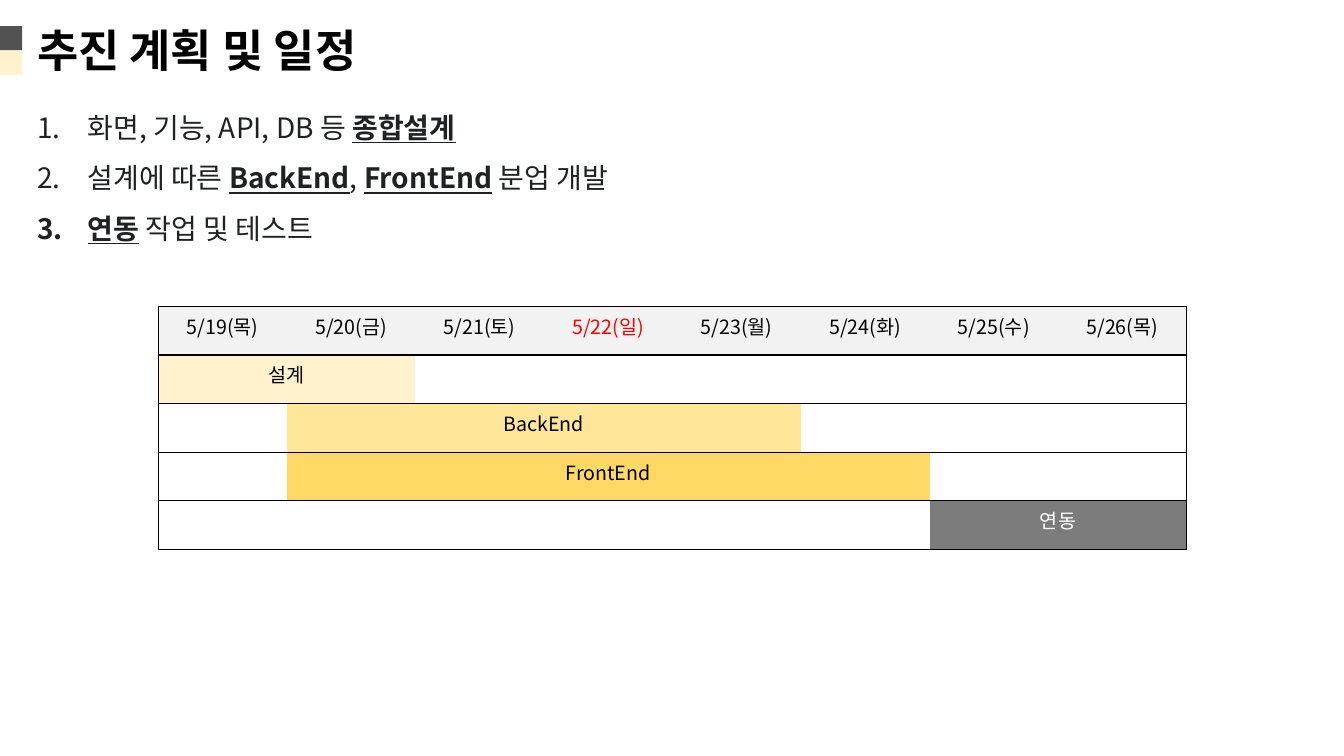
import pptx
import pptx.util
import pptx.dml.color
import pptx.enum.shapes
import pptx.enum.text
import pptx.oxml
import pptx.oxml.ns
from lxml import etree

Inches = pptx.util.Inches
Pt = pptx.util.Pt
qn = pptx.oxml.ns.qn
FONT = "Noto Sans CJK KR"
COLORS = {
    "black": "000000", "white": "FFFFFF", "red": "FF0000", "ink": "202122",
    "dark": "525252", "gray": "7C7C7C", "head": "F2F2F2",
    "cream": "FFF2CC", "sand": "FFE699", "gold": "FFD966",
}
DAYS = ["5/19(목)", "5/20(금)", "5/21(토)", "5/22(일)",
        "5/23(월)", "5/24(화)", "5/25(수)", "5/26(목)"]
TASKS = [
    ("설계", 0, 2, "cream", "black"),
    ("BackEnd", 1, 4, "sand", "black"),
    ("FrontEnd", 1, 5, "gold", "black"),
    ("연동", 6, 2, "gray", "white"),
]
STEPS = [
    [("화면, 기능, API, DB 등 ", False), ("종합설계", True)],
    [("설계에 따른 ", False), ("BackEnd", True), (", ", False),
     ("FrontEnd", True), (" 분업 개발", False)],
    [("연동", True), (" 작업 및 테스트", False)],
]


def color(name):
    return pptx.dml.color.RGBColor.from_string(COLORS[name])


def style(para, size, name, bold=None):
    font = para.font
    font.size, font.name, font.bold = Pt(size), FONT, bold
    font.color.rgb = color(name)
    base = para._p.pPr.find(qn("a:defRPr"))
    etree.SubElement(base, qn("a:ea")).set("typeface", FONT)


def add_text(slide, box):
    frame = slide.shapes.add_textbox(*map(Inches, box)).text_frame
    frame.word_wrap = True
    return frame


def add_title(slide, left, top, width, height):
    side = 0.24
    for row, name in enumerate(["dark", "cream"]):
        mark = slide.shapes.add_shape(
            pptx.enum.shapes.MSO_SHAPE.RECTANGLE, Inches(left),
            Inches(top + 0.08 + row * side), Inches(0.22), Inches(side))
        mark.shadow.inherit = False
        mark.fill.solid()
        mark.fill.fore_color.rgb = color(name)
        mark.line.fill.background()
    frame = add_text(slide, (left + 0.27, top, width - 0.27, height))
    para = frame.paragraphs[0]
    para.text = "추진 계획 및 일정"
    style(para, 32, "black", True)


def add_steps(slide, *box):
    frame = add_text(slide, box)
    for index, parts in enumerate(STEPS):
        para = frame.add_paragraph() if index else frame.paragraphs[0]
        para.line_spacing = 1.5
        props = para._p.get_or_add_pPr()
        props.set("marL", str(Inches(0.5)))
        props.set("indent", str(Inches(-0.5)))
        etree.SubElement(props, qn("a:buFont")).set("typeface", "+mj-lt")
        etree.SubElement(props, qn("a:buAutoNum")).set("type", "arabicPeriod")
        style(para, 20, "ink")
        for text, strong in parts:
            run = para.add_run()
            run.text = text
            run.font.bold = run.font.underline = strong


def add_edges(cell, sides):
    props = cell._tc.get_or_add_tcPr()
    for side in sides:
        line = etree.SubElement(props, qn("a:ln" + side), w=str(Pt(1)))
        fill = etree.SubElement(line, qn("a:solidFill"))
        etree.SubElement(fill, qn("a:srgbClr"), val=COLORS["black"])


def fill_cell(cell, text, back, ink):
    cell.fill.solid()
    cell.fill.fore_color.rgb = color(back)
    para = cell.text_frame.paragraphs[0]
    para.text = text
    para.alignment = pptx.enum.text.PP_ALIGN.CENTER
    style(para, 14, ink)


def add_plan(slide, left, top, width, height):
    rows, cols = len(TASKS) + 1, len(DAYS)
    table = slide.shapes.add_table(
        rows, cols, *map(Inches, (left, top, width, height))).table
    table.horz_banding = table.first_row = False
    table._tbl.tblPr.find(qn("a:tableStyleId")).text = (
        "{2D5ABB26-0587-4C30-8999-92F81FD0307C}")
    for col in table.columns:
        col.width = Inches(width / cols)
    for row in table.rows:
        row.height = Inches(height / rows)
    for index, (_, start, span, _, _) in enumerate(TASKS, 1):
        table.cell(index, start).merge(table.cell(index, start + span - 1))
    for row in range(rows):
        for col in range(cols):
            cell = table.cell(row, col)
            span = cell.span_width if cell.is_merge_origin else 1
            sides = ["L"] if col == 0 else []
            sides += ["R"] if col + span == cols else []
            add_edges(cell, sides + ["T", "B"])
            cell.fill.background()
    for col, day in enumerate(DAYS):
        ink = "red" if "일" in day else "black"
        fill_cell(table.cell(0, col), day, "head", ink)
    for row, (text, start, _, back, ink) in enumerate(TASKS, 1):
        fill_cell(table.cell(row, start), text, back, ink)


def main():
    deck = pptx.Presentation()
    deck.slide_width, deck.slide_height = Inches(13.33), Inches(7.5)
    slide = deck.slides.add_slide(deck.slide_layouts[6])
    add_title(slide, 0, 0.18, 4.04, 0.64)
    add_plan(slide, 1.57, 3.04, 10.2, 2.41)
    add_steps(slide, 0.27, 0.88, 9.44, 1.57)
    deck.save("out.pptx")


if __name__ == "__main__":
    main()
